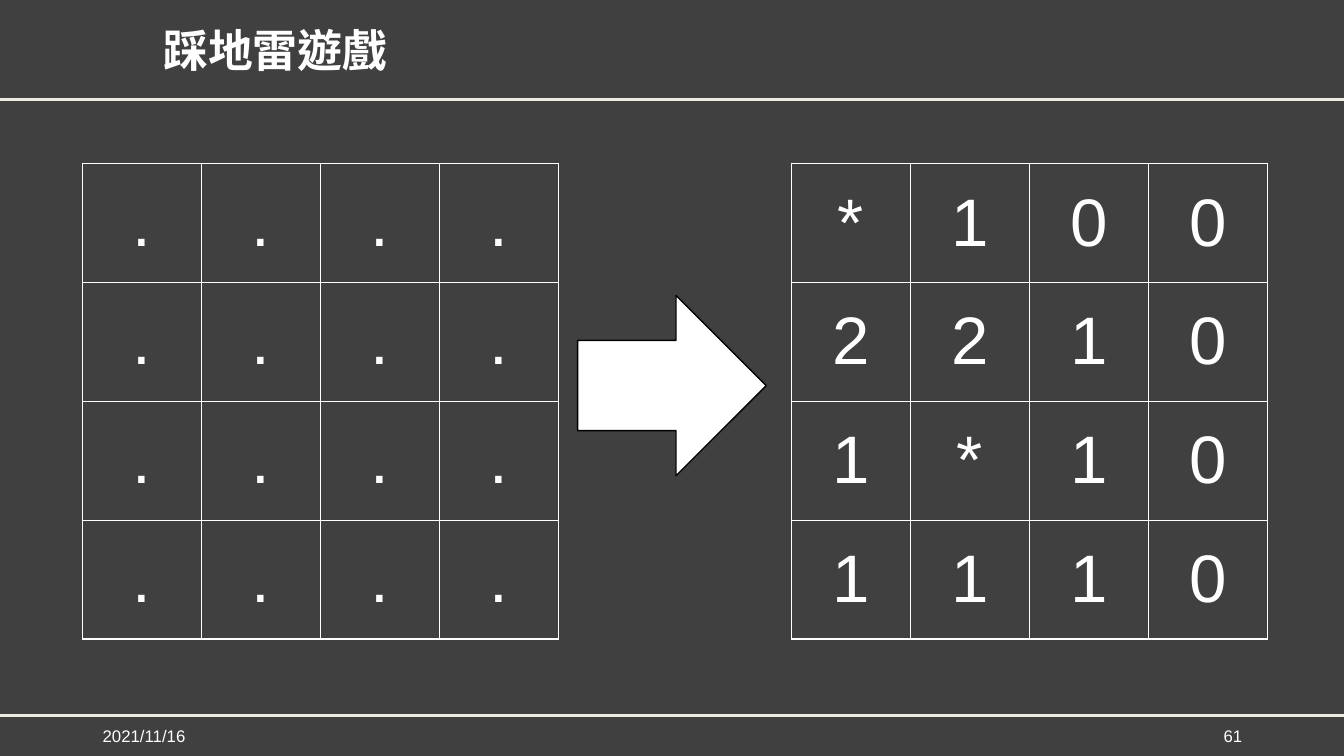
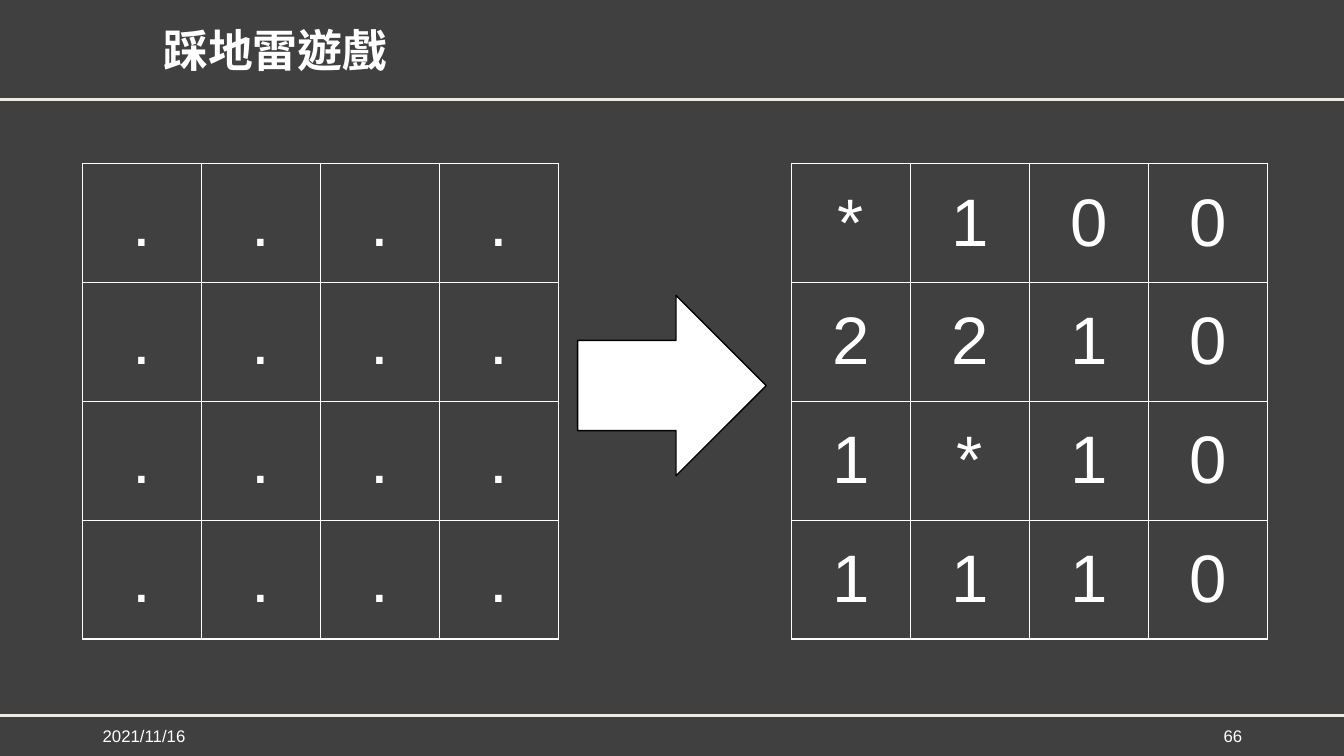
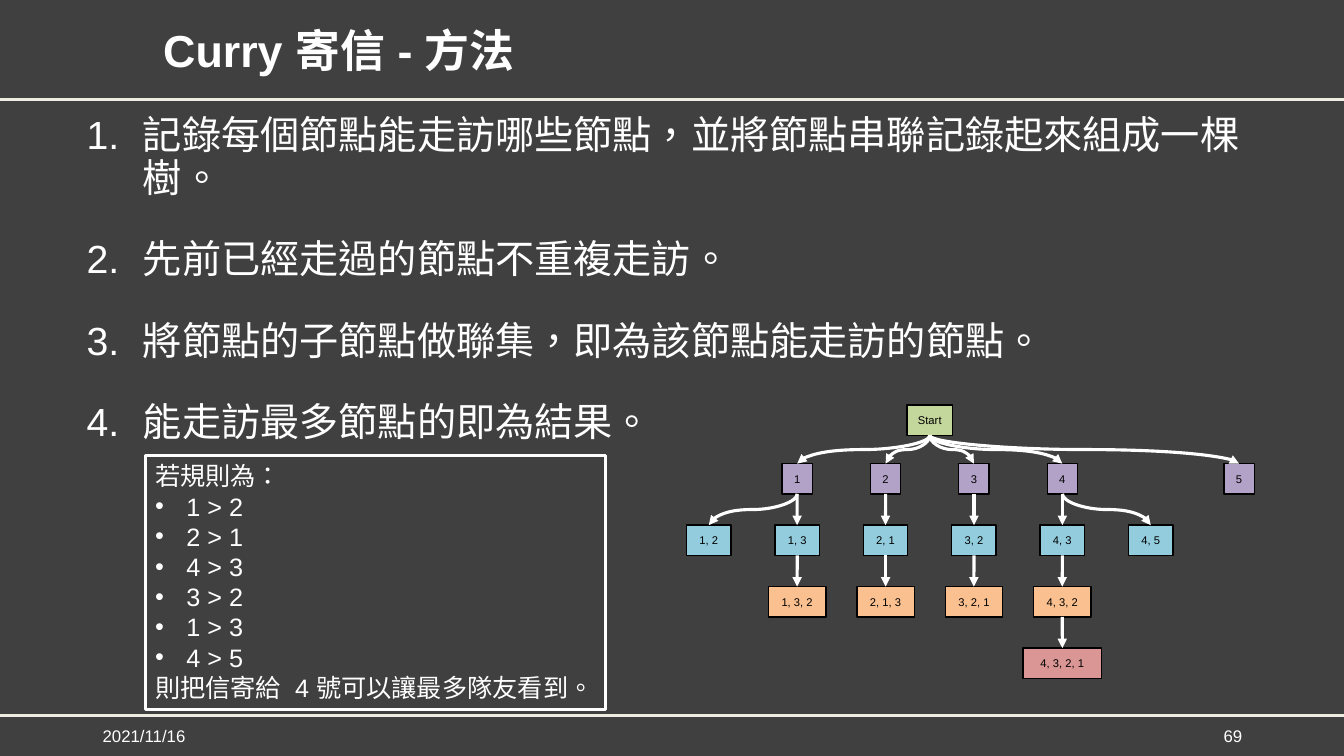
"""Build three lecture slides: two minesweeper boards and a message-forwarding tree."""
from lxml.etree import SubElement
from pptx import Presentation
from pptx.dml.color import RGBColor
from pptx.enum.shapes import MSO_CONNECTOR, MSO_SHAPE
from pptx.enum.text import MSO_ANCHOR, PP_ALIGN
from pptx.oxml.ns import qn
from pptx.util import Inches, Pt

DARK = RGBColor(0x40, 0x40, 0x40)
CREAM = RGBColor(0xEE, 0xEC, 0xE1)
WHITE = RGBColor(0xFF, 0xFF, 0xFF)
BLACK = RGBColor(0x00, 0x00, 0x00)
GREEN = RGBColor(0xC3, 0xD6, 0x9B)
PURPLE = RGBColor(0xB3, 0xA2, 0xC7)
BLUE = RGBColor(0x93, 0xCD, 0xDD)
ORANGE = RGBColor(0xFA, 0xC0, 0x90)
RED = RGBColor(0xD9, 0x96, 0x94)

FONT = "Arial"
WIDTH, HEIGHT = 13.33, 7.5
RULE_YS = (7.1, 0.99)
DATE = "2021/11/16"

GAME_TITLE = "踩地雷遊戲"
GAME_PAGES = (61, 66)
BOARDS = [(0.82, ["....", "....", "....", "...."]),
          (7.85, ["*100", "2210", "1*10", "1110"])]
BOARD_TOP, CELL = 1.62, 1.18

METHOD_TITLE, METHOD_PAGE = "Curry 寄信 - 方法", 69
STEPS = ["記錄每個節點能走訪哪些節點，並將節點串聯記錄起來組成一棵樹。",
         "先前已經走過的節點不重複走訪。",
         "將節點的子節點做聯集，即為該節點能走訪的節點。",
         "能走訪最多節點的即為結果。"]
RULES_HEAD = "若規則為："
RULES = ["1 > 2", "2 > 1", "4 > 3", "3 > 2", "1 > 3", "4 > 5"]
RULES_END = "則把信寄給  4 號可以讓最多隊友看到。"

ROOT = "Start"
LEVELS = [(4.02, 0.45, GREEN, {ROOT: 2.5}),
          (4.6, 0.3, PURPLE, {"1": 1, "2": 2, "3": 3, "4": 4, "5": 6}),
          (5.21, 0.44, BLUE, {"1, 2": 0, "1, 3": 1, "2, 1": 2, "3, 2": 3, "4, 3": 4, "4, 5": 5}),
          (5.82, 0.57, ORANGE, {"1, 3, 2": 1, "2, 1, 3": 2, "3, 2, 1": 3, "4, 3, 2": 4}),
          (6.43, 0.78, RED, {"4, 3, 2, 1": 4})]
FIRST_X, LAST_X, LAST_COL, NODE_H = 7.03, 12.29, 6, 0.3

NUMBERED = ("a:buAutoNum", {"type": "arabicPeriod"}, 0.56)
DOTTED = ("a:buChar", {"char": "•"}, 0.31)


def write(p, text, size, color=WHITE, bold=False, **para):
    r = p.add_run()
    r.text = text
    for name, value in {"name": FONT, "size": Pt(size), "bold": bold}.items():
        setattr(r.font, name, value)
    r.font.color.rgb = color
    rPr = r._r.get_or_add_rPr()
    rPr.set("lang", "zh-TW")
    SubElement(rPr, qn("a:ea"), typeface=FONT)
    for name, value in para.items():
        setattr(p, name, value)


def add_bullet(p, kind):
    tag, attrs, indent = kind
    pPr = p._p.get_or_add_pPr()
    pPr.set("marL", str(Inches(indent)))
    pPr.set("indent", str(-Inches(indent)))
    SubElement(pPr, qn("a:buFont"), typeface=FONT)
    SubElement(pPr, qn(tag), attrs)


def next_paragraph(tf, index):
    return tf.add_paragraph() if index else tf.paragraphs[0]


def add_text(s, box, text, size, anchor=MSO_ANCHOR.MIDDLE, **fmt):
    tf = s.shapes.add_textbox(*map(Inches, box)).text_frame
    tf.word_wrap, tf.vertical_anchor = True, anchor
    write(tf.paragraphs[0], text, size, **fmt)


def add_box(s, preset, box, fill, line, weight):
    sp = s.shapes.add_shape(preset, *map(Inches, box))
    sp.shadow.inherit = False
    if fill is None:
        sp.fill.background()
    else:
        sp.fill.solid()
        sp.fill.fore_color.rgb = fill
    sp.line.color.rgb, sp.line.width = line, Pt(weight)
    return sp


def add_line(s, kind, color, ends=(0, 0, 0, 0)):
    c = s.shapes.add_connector(kind, *map(Inches, ends))
    c.line.color.rgb, c.line.width = color, Pt(2.25)
    SubElement(c.element.spPr, qn("a:effectLst"))
    return c


def add_slide(prs, title, page):
    s = prs.slides.add_slide(prs.slide_layouts[6])
    for y in RULE_YS:
        add_line(s, MSO_CONNECTOR.STRAIGHT, CREAM, (0, y, WIDTH, y))
    add_text(s, (1.52, 0.19, 11.05, 0.67), title, 32, bold=True, line_spacing=0.9)
    add_text(s, (0.92, 7.1, 1.06, 0.4), DATE, 12)
    add_text(s, (11.36, 7.1, 1.06, 0.4), str(page), 12, alignment=PP_ALIGN.RIGHT)
    return s


def add_board(s, left, rows):
    n = len(rows)
    table = s.shapes.add_table(n, n, *map(Inches, (left, BOARD_TOP, n * CELL, n * CELL))).table
    table.first_row = table.horz_banding = False
    for band in (*table.columns, *table.rows):
        setattr(band, "width" if band in list(table.columns) else "height", Inches(CELL))
    for i, row in enumerate(rows):
        for j, mark in enumerate(row):
            cell = table.cell(i, j)
            cell.vertical_anchor = MSO_ANCHOR.MIDDLE
            write(cell.text_frame.paragraphs[0], mark, 48, alignment=PP_ALIGN.CENTER)
            tcPr = cell._tc.get_or_add_tcPr()
            for side in ("a:lnL", "a:lnR", "a:lnT", "a:lnB"):
                ln = SubElement(tcPr, qn(side), w=str(Pt(1)))
                SubElement(SubElement(ln, qn("a:solidFill")), qn("a:srgbClr"), val=str(WHITE))
            cell.fill.background()


def add_game_slide(prs, page):
    s = add_slide(prs, GAME_TITLE, page)
    for left, rows in BOARDS:
        add_board(s, left, rows)
    add_box(s, MSO_SHAPE.RIGHT_ARROW, (5.73, 2.93, 1.87, 1.79), WHITE, BLACK, 1)


def add_branch(s, parent, child):
    c = add_line(s, MSO_CONNECTOR.CURVE, WHITE)
    c.begin_connect(parent, 2)
    c.end_connect(child, 0)
    x1, x2 = (sp.left + sp.width // 2 for sp in (parent, child))
    y1, y2 = parent.top + parent.height, child.top
    c.width, c.height = y2 - y1, abs(x2 - x1)
    c.left, c.top = (x1 + x2 - c.width) // 2, (y1 + y2 - c.height) // 2
    rightward = x2 > x1
    xfrm = c.element.spPr.find(qn("a:xfrm"))
    for name, value in {"rot": 16200000 if rightward else 5400000,
                        "flipH": int(rightward), "flipV": 0}.items():
        xfrm.set(name, str(value))
    SubElement(c.line._get_or_add_ln(), qn("a:tailEnd"), type="triangle")


def add_tree(s):
    nodes = {}
    step = (LAST_X - FIRST_X) / LAST_COL
    for top, width, fill, labels in LEVELS:
        for label, col in labels.items():
            left = FIRST_X + col * step - width / 2
            sp = add_box(s, MSO_SHAPE.RECTANGLE, (left, top, width, NODE_H), fill, BLACK, 1)
            tf = sp.text_frame
            tf.word_wrap, tf.vertical_anchor = False, MSO_ANCHOR.MIDDLE
            write(tf.paragraphs[0], label, 8, BLACK, alignment=PP_ALIGN.CENTER)
            nodes[label] = sp
    for label, sp in nodes.items():
        if label != ROOT:
            add_branch(s, nodes[label.rpartition(", ")[0] or ROOT], sp)


def add_method_slide(prs):
    s = add_slide(prs, METHOD_TITLE, METHOD_PAGE)
    tf = s.shapes.add_textbox(*map(Inches, (0.76, 1.1, 11.81, 6.01))).text_frame
    tf.word_wrap = True
    for i, step in enumerate(STEPS):
        p = next_paragraph(tf, i)
        write(p, step, 28, line_spacing=0.9, space_before=Pt(10), space_after=Pt(18))
        add_bullet(p, NUMBERED)
    tf = add_box(s, MSO_SHAPE.RECTANGLE, (1.44, 4.52, 4.57, 2.52), None, WHITE, 2.25).text_frame
    tf.word_wrap, tf.vertical_anchor = False, MSO_ANCHOR.TOP
    for i, text in enumerate([RULES_HEAD, *RULES, RULES_END]):
        p = next_paragraph(tf, i)
        write(p, text, 18, alignment=PP_ALIGN.LEFT)
        if text in RULES:
            add_bullet(p, DOTTED)
    add_tree(s)


def main():
    prs = Presentation()
    prs.slide_width, prs.slide_height = Inches(WIDTH), Inches(HEIGHT)
    fill = prs.slide_master.background.fill
    fill.solid()
    fill.fore_color.rgb = DARK
    for page in GAME_PAGES:
        add_game_slide(prs, page)
    add_method_slide(prs)
    prs.save("out.pptx")


if __name__ == "__main__":
    main()
